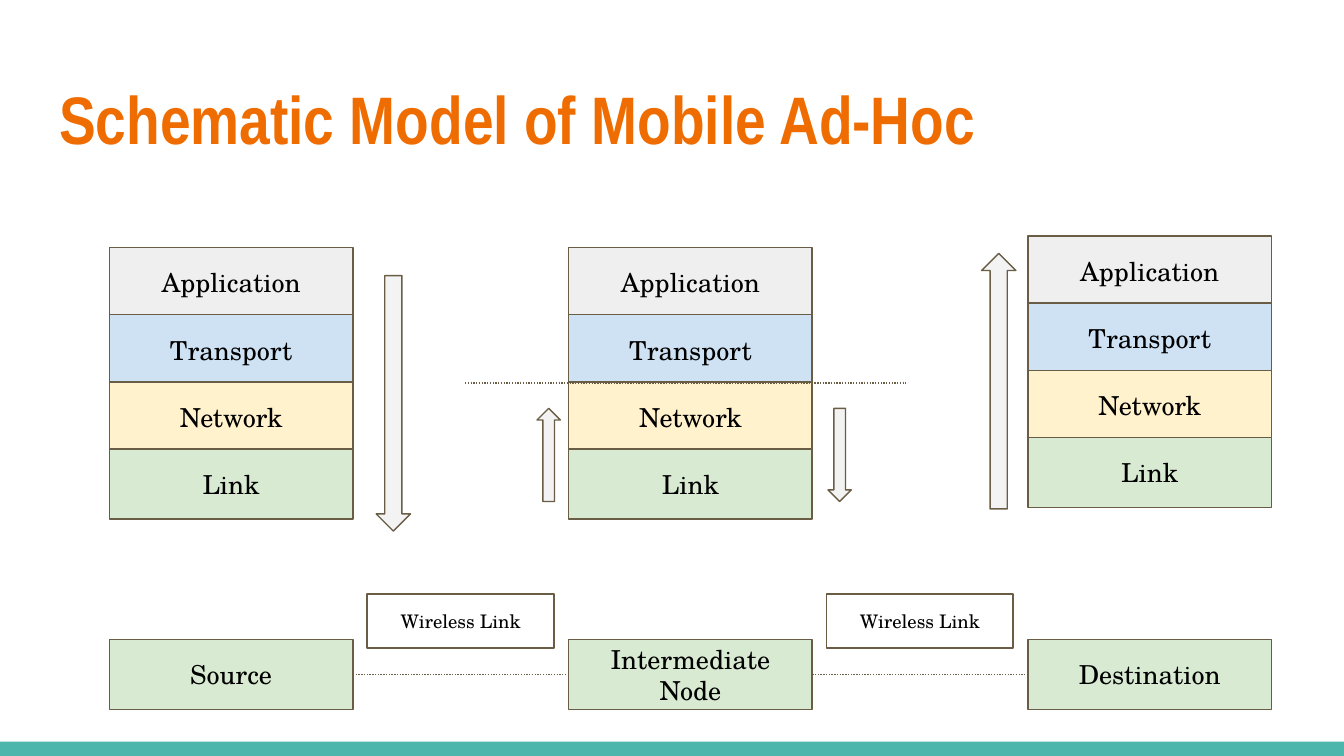
import collections
import pptx
import pptx.util
import pptx.dml.color
import pptx.enum.dml
import pptx.enum.shapes
import pptx.enum.text
import lxml.etree

Cm, Pt = pptx.util.Cm, pptx.util.Pt
SHAPE = pptx.enum.shapes.MSO_SHAPE
DOWN, UP = SHAPE.DOWN_ARROW, SHAPE.UP_ARROW
Box = collections.namedtuple("Box", "x y w h")  # centimetres


class Theme:
    title, line, text, white = "EF6C00", "695D46", "000000", "FFFFFF"
    arrow, node, band = "F3F3F3", "D9EAD3", "4DB6AC"
    layers = {"Application": "EFEFEF", "Transport": "CFE2F3",
              "Network": "FFF2CC", "Link": "D9EAD3"}
    title_font, body_font = "Arial Narrow", "TeX Gyre Schola"
    title_size, body_size, small_size = 36, 14, 10
    line_width, inset = 0.75, 0.25


def rgb(value):
    return pptx.dml.color.RGBColor.from_string(value)


def set_text(sp, text, font, size, color, align, bold=False):
    tf = sp.text_frame
    tf.text = text
    tf.word_wrap = True
    tf.vertical_anchor = pptx.enum.text.MSO_ANCHOR.MIDDLE
    tf.margin_left = tf.margin_right = Cm(Theme.inset)
    tf.margin_top = tf.margin_bottom = Cm(Theme.inset)
    p = tf.paragraphs[0]
    p.alignment = align
    r = p.runs[0]
    r.font.name, r.font.size, r.font.bold = font, Pt(size), bold
    r.font.color.rgb = rgb(color)


def add_shape(s, kind, box, fill, outlined=True):
    sp = s.shapes.add_shape(kind, *map(Cm, box))
    sp.shadow.inherit = False
    sp.fill.solid()
    sp.fill.fore_color.rgb = rgb(fill)
    if outlined:
        sp.line.color.rgb = rgb(Theme.line)
        sp.line.width = Pt(Theme.line_width)
    else:
        sp.line.fill.background()
    return sp


def add_label(s, box, text, fill, size=Theme.body_size):
    sp = add_shape(s, SHAPE.RECTANGLE, box, fill)
    set_text(sp, text, Theme.body_font, size, Theme.text,
             pptx.enum.text.PP_ALIGN.CENTER)
    return sp


def add_dotted(s, x1=0, y1=0, x2=0, y2=0):
    line = s.shapes.add_connector(pptx.enum.shapes.MSO_CONNECTOR.STRAIGHT,
                                  Cm(x1), Cm(y1), Cm(x2), Cm(y2))
    line.line.color.rgb = rgb(Theme.line)
    line.line.width = Pt(Theme.line_width)
    line.line.dash_style = pptx.enum.dml.MSO_LINE.ROUND_DOT
    sp_pr = line._element.spPr
    lxml.etree.SubElement(
        sp_pr, "{http://schemas.openxmlformats.org/drawingml/2006/main}effectLst")
    return line


def add_title(s, box):
    sp = s.shapes.add_textbox(*map(Cm, box))
    set_text(sp, "Schematic Model of Mobile Ad-Hoc", Theme.title_font,
             Theme.title_size, Theme.title, pptx.enum.text.PP_ALIGN.LEFT, True)


def add_stack(s, box, arrows):
    """Protocol layers, with arrows given as (kind, dx, dy, w, h)."""
    pitch, height = 1.27, box.h - 3 * 1.27
    for i, (name, fill) in enumerate(Theme.layers.items()):
        add_label(s, Box(box.x, box.y + i * pitch, box.w, height), name, fill)
    for kind, dx, dy, w, h in arrows:
        add_shape(s, kind, Box(box.x + dx, box.y + dy, w, h), Theme.arrow)


def add_node_row(s, box, pitch):
    """Nodes joined by wireless links."""
    names = ["Source", "Intermediate Node", "Destination"]
    width = box.w - pitch * (len(names) - 1)
    nodes = [add_label(s, Box(box.x + i * pitch, box.y, width, box.h), name, Theme.node)
             for i, name in enumerate(names)]
    for i, (left, right) in enumerate(zip(nodes, nodes[1:])):
        link = add_dotted(s)
        link.begin_connect(left, 3)
        link.end_connect(right, 1)
        add_label(s, Box(box.x + i * pitch + 4.87, box.y - 0.86, 3.53, 1.02),
                  "Wireless Link", Theme.white, Theme.small_size)


def main():
    prs = pptx.Presentation()
    prs.slide_width, prs.slide_height = Cm(25.4), Cm(14.29)
    s = prs.slides.add_slide(prs.slide_layouts[6])

    # Footer band and title
    add_shape(s, SHAPE.RECTANGLE, Box(0, 14.02, 25.4, 0.27), Theme.band, False)
    add_title(s, Box(0.87, 1.25, 23.67, 1.95))

    # Protocol stacks, one per node
    left, pitch, width, height = 2.07, 8.68, 4.6, 5.13
    stacks = [
        (4.68, [(DOWN, 5.04, 0.53, 0.65, 4.83)]),
        (4.68, [(UP, -0.6, 3.04, 0.44, 1.76), (DOWN, 4.9, 3.04, 0.44, 1.76)]),
        (4.46, [(UP, -0.88, 0.33, 0.65, 4.83)]),
    ]
    for i, (top, arrows) in enumerate(stacks):
        add_stack(s, Box(left + i * pitch, top, width, height), arrows)

    # Boundary of the layers used by the intermediate node
    add_dotted(s, 8.79, 7.24, 17.13, 7.24)

    # Nodes and wireless links
    add_node_row(s, Box(left, 12.09, 2 * pitch + width, 1.32), pitch)

    prs.save("out.pptx")


if __name__ == "__main__":
    main()
